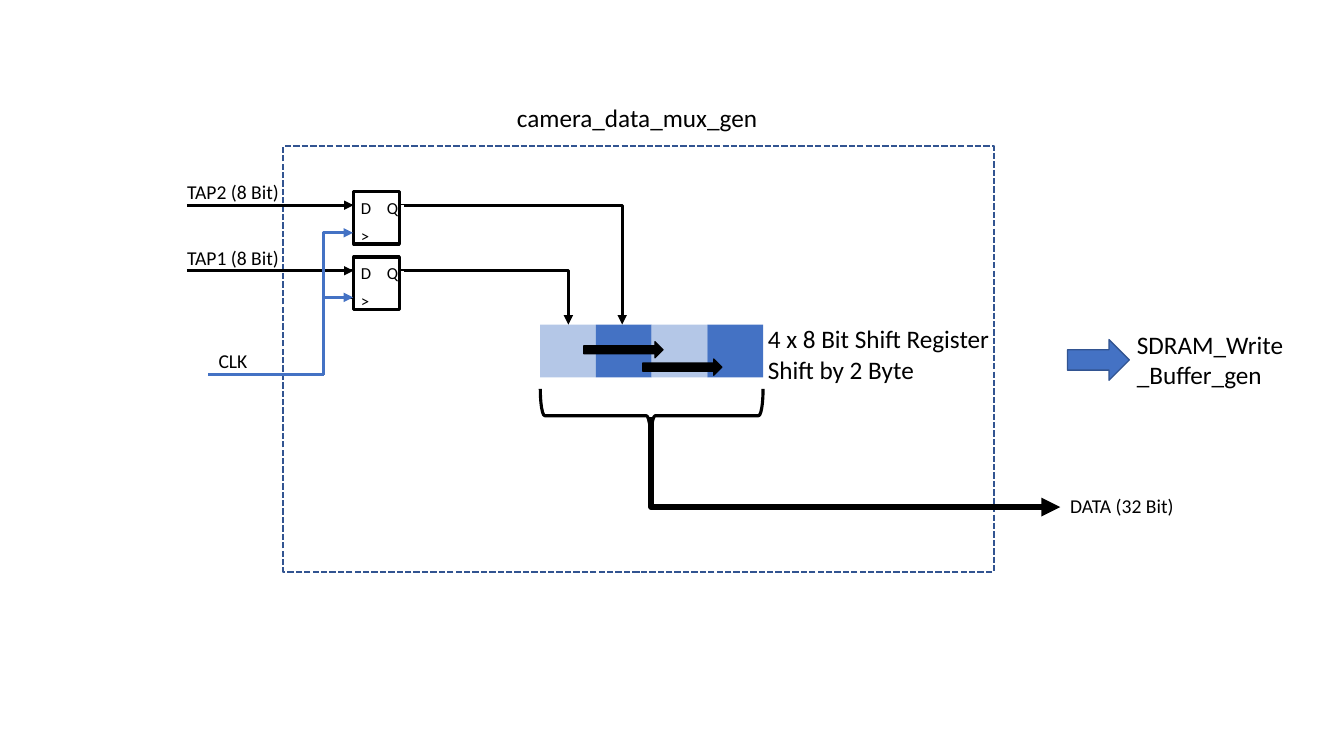
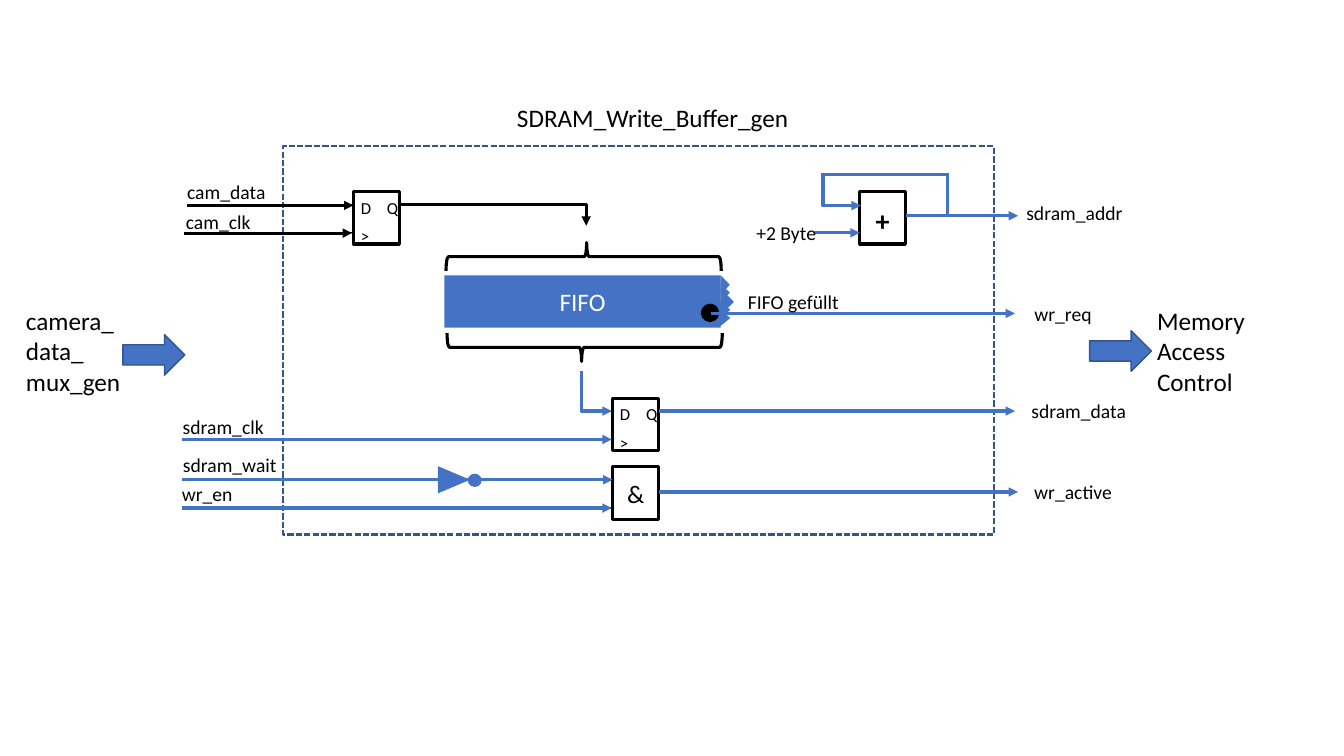
"""Builds two block diagrams of a camera data path."""
import pptx
import pptx.util
import pptx.dml.color
import pptx.enum.dml
import pptx.enum.shapes
import pptx.enum.text
import pptx.oxml
import pptx.oxml.ns

Pt = pptx.util.Pt
SHAPE = pptx.enum.shapes.MSO_SHAPE
CONNECTOR = pptx.enum.shapes.MSO_CONNECTOR
ALIGN = pptx.enum.text.PP_ALIGN
COLORS = {"black": "000000", "white": "FFFFFF", "blue": "4472C4",
          "pale": "B4C7E7", "navy": "325491"}
FONT = "Calibri"
GATE_W, GATE_H = 32.6, 37.6
UPPER_PIN, MIDDLE_PIN, LOWER_PIN = 9.4, 18, 29.5
PIN_LENGTH = 7
FRAME_LEFT, FRAME_TOP, FRAME_W = 202.3, 104.6, 507.6


def rgb(name):
    return pptx.dml.color.RGBColor.from_string(COLORS[name])


def write(frame, text, size, color="black", align=ALIGN.LEFT, bold=False):
    frame.text = text
    for paragraph in frame.paragraphs:
        paragraph.alignment = align
        paragraph.font.name = FONT
        paragraph.font.size = Pt(size)
        paragraph.font.bold = bold
        paragraph.font.color.rgb = rgb(color)


def label(slide, text, x, y, width, size=14, wrap=False, **style):
    height = 1.2 * size * (text.count("\n") + 1) + 7.2
    box = slide.shapes.add_textbox(Pt(x), Pt(y), Pt(width), Pt(height))
    box.text_frame.word_wrap = wrap
    write(box.text_frame, text, size, **style)


def block(slide, kind, x, y, width, height, fill=None, line=None, weight=1, turn=0):
    shape = slide.shapes.add_shape(kind, Pt(x), Pt(y), Pt(width), Pt(height))
    shape.shadow.inherit = False
    shape.rotation = turn
    if fill:
        shape.fill.solid()
        shape.fill.fore_color.rgb = rgb(fill)
    else:
        shape.fill.background()
    if line:
        shape.line.color.rgb = rgb(line)
        shape.line.width = Pt(weight)
    else:
        shape.line.fill.background()
    return shape


def wire(slide, start, end, color="blue", weight=2.25, arrow=True, bend=None):
    kind = CONNECTOR.STRAIGHT if bend is None else CONNECTOR.ELBOW
    connector = slide.shapes.add_connector(kind, *(Pt(v) for v in (*start, *end)))
    connector.line.color.rgb = rgb(color)
    connector.line.width = Pt(weight)
    properties = connector._element.spPr
    qn = pptx.oxml.ns.qn
    if arrow:
        tail = properties.find(qn("a:ln")).makeelement(qn("a:tailEnd"), {"type": "triangle"})
        properties.find(qn("a:ln")).append(tail)
    if bend is not None:
        geometry = properties.find(qn("a:prstGeom"))
        guides = geometry.find(qn("a:avLst"))
        guides.append(guides.makeelement(
            qn("a:gd"), {"name": "adj1", "fmla": f"val {round(bend * 100000)}"}))
    properties.append(properties.makeelement(qn("a:effectLst"), {}))


def gate(slide, x, y, output_pin=MIDDLE_PIN):
    block(slide, SHAPE.RECTANGLE, x, y, GATE_W, GATE_H, "white", "black", 2.25)
    for pin_x, pin_y in ((x - PIN_LENGTH, UPPER_PIN), (x - PIN_LENGTH, LOWER_PIN),
                         (x + GATE_W, output_pin)):
        wire(slide, (pin_x, y + pin_y), (pin_x + PIN_LENGTH, y + pin_y),
             "black", 1, arrow=False)


def flip_flop(slide, x, y):
    gate(slide, x, y, UPPER_PIN)
    for text, dx, dy in (("D", -2, 0.7), ("Q", 16.6, 0.7), (">", -2, 20.9)):
        label(slide, text, x + dx, y + dy, 16, 12, wrap=True)


def operator(slide, symbol, x, y, size, bold=False):
    gate(slide, x, y)
    label(slide, symbol, x, y + 4.7, GATE_W, size, wrap=True,
          align=ALIGN.CENTER, bold=bold)


def brace(slide, x, y, width, height, turn, tip):
    shape = block(slide, SHAPE.RIGHT_BRACE, x, y, width, height,
                  line="black", weight=2.25, turn=turn)
    shape.adjustments[0] = 0.083
    shape.adjustments[1] = tip


def neighbour(slide, text, text_x, text_y, arrow_x, arrow_y):
    block(slide, SHAPE.RIGHT_ARROW, arrow_x, arrow_y, 44.2, 29, "blue", "navy")
    label(slide, text, text_x, text_y, 120.2, 18, wrap=True)


def module_slide(deck, title, title_width, frame_height):
    slide = deck.slides.add_slide(deck.slide_layouts[6])
    frame = block(slide, SHAPE.RECTANGLE, FRAME_LEFT, FRAME_TOP, FRAME_W,
                  frame_height, line="navy", weight=1.5)
    frame.line.dash_style = pptx.enum.dml.MSO_LINE.SQUARE_DOT
    label(slide, title, 362.2, 69.8, title_width, 18)
    return slide


def camera_mux(deck):
    slide = module_slide(deck, "camera_data_mux_gen", 188, 303.8)
    cell_width = 39.8
    for index in range(4):
        block(slide, SHAPE.RECTANGLE, 385.9 + index * cell_width, 231.8,
              cell_width, 37.8, ("pale", "blue")[index % 2])
    label(slide, "4 x 8 Bit Shift Register\nShift by 2 Byte", 541.4, 227.7, 175, 18)
    for x, y in ((417.1, 244.1), (459.1, 256.5)):
        block(slide, SHAPE.RIGHT_ARROW, x, y, 56.5, 11.5, "black", "black")

    for tap, y, target_x in (("TAP2 (8 Bit)", 136.8, 444.4),
                             ("TAP1 (8 Bit)", 183.6, 406)):
        flip_flop(slide, 252.7, y)
        data_y = y + 9.8
        wire(slide, (133.5, data_y), (252.5, data_y), "black")
        wire(slide, (288.7, data_y), (target_x, 231.8), "black", bend=1)
        label(slide, tap, 126.5, y - 11.5, 80.6)

    brace(slide, 446.4, 217.4, 38.2, 159.1, 90, 0.504)
    wire(slide, (465.2, 298.1), (757.4, 362.2), "black", 4.5, bend=0)
    label(slide, "DATA (32 Bit)", 757.4, 349.2, 95.8)

    wire(slide, (231.1, 268.2), (252.2, 166.3), bend=0)
    wire(slide, (231.1, 212.4), (252.2, 212.4))
    wire(slide, (231.1, 267.8), (148.3, 267.8), arrow=False)
    label(slide, "CLK", 149, 245.5, 35.3)
    neighbour(slide, "SDRAM_Write_Buffer_gen", 805, 231.8, 762.5, 242.6)


def fifo(slide):
    store = block(slide, SHAPE.RECTANGLE, 317.5, 196.6, 197.3, 37.4, "blue")
    store.text_frame.vertical_anchor = pptx.enum.text.MSO_ANCHOR.MIDDLE
    write(store.text_frame, "FIFO", 18, "white", ALIGN.CENTER)
    for x, y, width, height in ((511.2, 200.2, 13.7, 6.5), (511.2, 205.9, 13.7, 6.5),
                                (509.8, 211, 19.4, 9.4), (511.2, 217.4, 13, 7.9),
                                (511.2, 223.2, 13, 7.9)):
        block(slide, SHAPE.ISOSCELES_TRIANGLE, x, y, width, height, "blue", turn=90)
    brace(slide, 406.8, 85, 20.2, 196.6, 270, 0.511)
    brace(slide, 407.5, 149.8, 20.2, 196.6, 90, 0.511)
    block(slide, SHAPE.OVAL, 501.1, 217.4, 12.2, 12.2, "black", "black")


def write_buffer(deck):
    slide = module_slide(deck, "SDRAM_Write_Buffer_gen", 211, 277.2)
    fifo(slide)
    flip_flop(slide, 252.7, 136.8)
    flip_flop(slide, 437.8, 284.4)
    operator(slide, "&", 437.8, 333.4, 18)
    operator(slide, "+", 614.2, 136.8, 20, bold=True)

    for color, start_x, end_x, y in (
            ("black", 133.5, 252.5, 146.7), ("black", 131.8, 251.5, 166.5),
            ("blue", 130.3, 437, 313.9), ("blue", 130.3, 437.6, 342.7),
            ("blue", 130, 437, 362.9), ("blue", 470.9, 725, 293.6),
            ("blue", 470.9, 727.2, 351.4), ("blue", 507.6, 725, 223.9),
            ("blue", 647, 727.2, 154.1), ("blue", 581.8, 614.2, 166.3)):
        wire(slide, (start_x, y), (end_x, y), color)
    wire(slide, (285.1, 146.2), (418.7, 161.3), "black", bend=1)
    wire(slide, (415.4, 265), (437, 293.6), bend=0)
    wire(slide, (676.8, 154.8), (676.8, 124.6), arrow=False)
    wire(slide, (677.8, 124.9), (586.8, 124.9), arrow=False)
    wire(slide, (587.9, 124.9), (614.9, 146.9), bend=0)

    block(slide, SHAPE.ISOSCELES_TRIANGLE, 314.6, 331.2, 19.4, 23, "blue", turn=90)
    block(slide, SHAPE.OVAL, 334.1, 338.4, 10, 9.4, "blue")

    for text, x, y, width in (
            ("cam_data", 126, 124.6, 71.3), ("cam_clk", 125.3, 146.6, 61.2),
            ("sdram_clk", 123.1, 292.6, 72.7), ("sdram_wait", 123.1, 320, 82.1),
            ("wr_en", 122.4, 340.9, 51.1), ("+2 Byte", 532.8, 154.1, 57.6),
            ("FIFO gefüllt", 526.7, 203.2, 79.9), ("sdram_addr", 725.4, 140, 84.2),
            ("wr_req", 731.2, 211.9, 56.2), ("sdram_data", 729.1, 281.1, 82.8),
            ("wr_active", 731.2, 339.5, 70.6)):
        label(slide, text, x, y, width, align=ALIGN.CENTER)
    neighbour(slide, "camera_\ndata_\nmux_gen", 11.5, 214.6, 87.8, 239)
    neighbour(slide, "Memory Access Control", 819.4, 214.6, 778.3, 236.2)


def main():
    deck = pptx.Presentation()
    deck.slide_width, deck.slide_height = Pt(960), Pt(540)
    camera_mux(deck)
    write_buffer(deck)
    deck.save("out.pptx")


if __name__ == "__main__":
    main()
